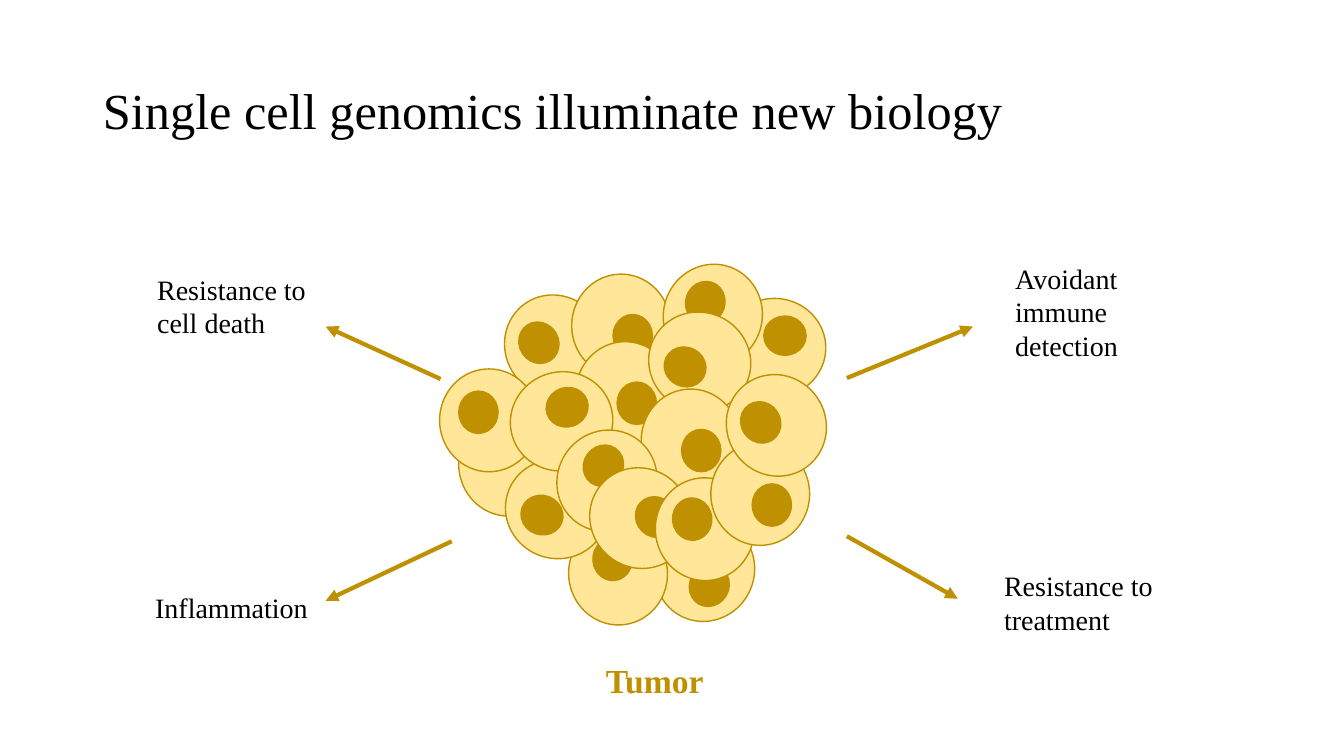
from lxml import etree
from pptx import Presentation
from pptx.dml.color import RGBColor
from pptx.enum import shapes, text
from pptx.oxml.ns import qn
from pptx.util import Inches, Pt

FONT = "Times New Roman"
BLACK, GOLD, CREAM = "000000", "BF9000", "FFE699"
CELL_SIZE, NUCLEUS_SIZE = (0.98, 1.02), (0.39, 0.42)

# (cell left, top), (nucleus left, top) or None, rotation
CELLS = [
    ((6.5, 5.15), (6.84, 5.6), 29.9),
    ((4.55, 4.1), None, 173.5),
    ((5.64, 5.18), (5.88, 5.34), 173.5),
    ((7.19, 2.94), (7.59, 3.12), 270),
    ((5.01, 2.92), (5.15, 3.19), 146.7),
    ((5.67, 2.72), (6.08, 3.12), 0),
    ((6.58, 2.62), (6.8, 2.79), 197.3),
    ((4.36, 3.66), (4.55, 3.88), 0),
    ((5.71, 3.39), (6.12, 3.79), 0),
    ((5.03, 4.54), (5.18, 4.9), 110.7),
    ((6.45, 3.08), (6.6, 3.43), 116.4),
    ((6.36, 3.86), (6.76, 4.26), 0),
    ((5.08, 3.67), (5.43, 3.83), 250.9),
    ((5.53, 4.26), (5.79, 4.41), 215.5),
    ((5.86, 4.63), (6.31, 4.92), 313.5),
    ((6.5, 4.74), (6.67, 4.94), 173.5),
    ((7.05, 4.39), (7.46, 4.8), 0),
    ((7.21, 3.71), (7.35, 3.98), 145.9),
]
ARROWS = [
    ((4.48, 5.37), (3.23, 5.96)),
    ((8.4, 5.32), (9.5, 5.94)),
    ((4.37, 3.76), (3.23, 3.24)),
    ((8.4, 3.75), (9.65, 3.24)),
]
TRAITS = [
    ("Resistance to cell death", (1.46, 2.65, 1.78, 0.77), True),
    ("Inflammation", (1.44, 5.81, 1.84, 0.44), False),
    ("Avoidant immune detection", (9.97, 2.54, 2, 1.11), True),
    ("Resistance to treatment", (9.86, 5.59, 2, 0.77), True),
]


def rgb(color):
    """Turn a hex string into a colour."""
    return RGBColor.from_string(color)


def write(frame, wording, size, color=BLACK, bold=False):
    """Set one left-aligned paragraph and format its run."""
    frame.text = wording
    paragraph = frame.paragraphs[0]
    paragraph.alignment = text.PP_ALIGN.LEFT
    font = paragraph.runs[0].font
    font.name, font.size, font.bold = FONT, Pt(size), bold
    font.color.rgb = rgb(color)


def add_title(slide, wording):
    """Place and format the slide title."""
    title = slide.shapes.title
    title.left, title.top = Inches(0.92), Inches(0.4)
    title.width, title.height = Inches(11.89), Inches(1.45)
    write(title.text_frame, wording, 36)
    title.text_frame.vertical_anchor = text.MSO_ANCHOR.MIDDLE
    title.text_frame.paragraphs[0].line_spacing = 0.9


def add_oval(slide, corner, size, rotation, fill):
    """Draw one gold-edged oval."""
    oval = slide.shapes.add_shape(
        shapes.MSO_SHAPE.OVAL, *(Inches(v) for v in corner + size))
    oval.rotation = rotation
    oval.shadow.inherit = False
    oval.fill.solid()
    oval.fill.fore_color.rgb = rgb(fill)
    oval.line.color.rgb = rgb(GOLD)
    oval.line.width = Pt(1)


def add_cell(slide, body, nucleus, rotation):
    """Draw a tumor cell with its nucleus, if that is visible."""
    add_oval(slide, body, CELL_SIZE, rotation, CREAM)
    if nucleus:
        add_oval(slide, nucleus, NUCLEUS_SIZE, rotation, GOLD)


def add_arrow(slide, start, end):
    """Draw a gold arrow from start to end."""
    arrow = slide.shapes.add_connector(
        shapes.MSO_CONNECTOR.STRAIGHT, *(Inches(v) for v in start + end))
    arrow.line.color.rgb = rgb(GOLD)
    arrow.line.width = Pt(3)
    etree.SubElement(arrow.line._get_or_add_ln(), qn("a:tailEnd"), type="triangle")
    etree.SubElement(arrow._element.spPr, qn("a:effectLst"))


def add_label(slide, wording, box, wrap, size=20, color=BLACK, bold=False):
    """Add a text label that grows with its wording."""
    frame = slide.shapes.add_textbox(*(Inches(v) for v in box)).text_frame
    frame.word_wrap = wrap
    frame.auto_size = text.MSO_AUTO_SIZE.SHAPE_TO_FIT_TEXT
    write(frame, wording, size, color, bold)


def main():
    """Build the slide and save it."""
    deck = Presentation()
    deck.slide_width, deck.slide_height = Inches(13.33), Inches(7.5)
    slide = deck.slides.add_slide(deck.slide_layouts[5])
    add_title(slide, "Single cell genomics illuminate new biology")
    for body, nucleus, rotation in CELLS:
        add_cell(slide, body, nucleus, rotation)
    for start, end in ARROWS:
        add_arrow(slide, start, end)
    for wording, box, wrap in TRAITS:
        add_label(slide, wording, box, wrap)
    add_label(slide, "Tumor", (5.91, 6.5, 1.19, 0.5), False, 24, GOLD, True)
    deck.save("out.pptx")


if __name__ == "__main__":
    main()
